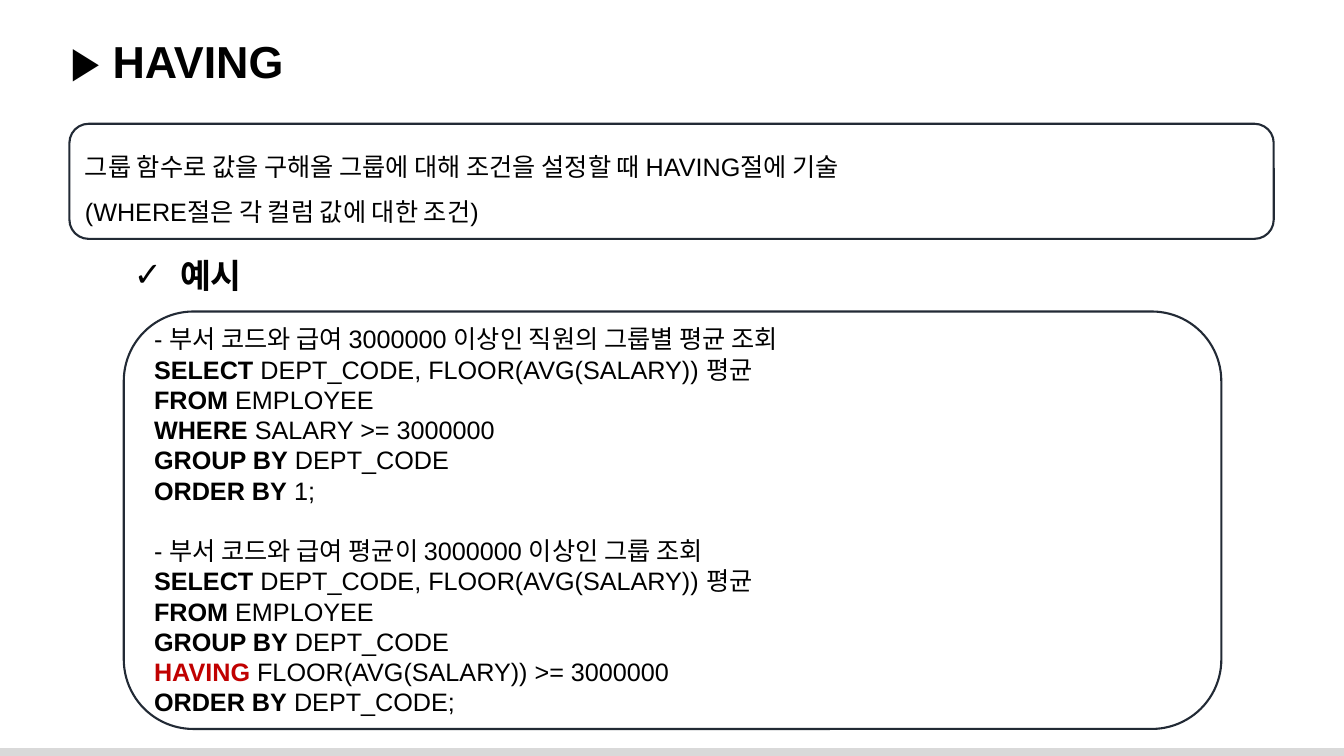
from lxml import etree
from pptx import Presentation
from pptx.dml.color import RGBColor
from pptx.enum import shapes, text
from pptx.oxml import ns
from pptx.util import Cm, Pt

BLACK = RGBColor(0x00, 0x00, 0x00)
NAVY = RGBColor(0x22, 0x2A, 0x35)
RED = RGBColor(0xC0, 0x00, 0x00)
GREY = RGBColor(0xD9, 0xD9, 0xD9)
FONT = "Arial"

HEADING = [("▶ HAVING", "")]
SUMMARY = [
    ("", "그룹 함수로 값을 구해올 그룹에 대해 조건을 설정할 때 HAVING절에 기술"),
    ("", "(WHERE절은 각 컬럼 값에 대한 조건)"),
]
EXAMPLE = [(" 예시", "")]
QUERIES = [
    [
        ("", "- 부서 코드와 급여 3000000 이상인 직원의 그룹별 평균 조회"),
        ("SELECT", " DEPT_CODE, FLOOR(AVG(SALARY)) 평균"),
        ("FROM", " EMPLOYEE"),
        ("WHERE", " SALARY >= 3000000"),
        ("GROUP BY", " DEPT_CODE"),
        ("ORDER BY", " 1;"),
    ],
    [
        ("", "- 부서 코드와 급여 평균이 3000000 이상인 그룹 조회"),
        ("SELECT", " DEPT_CODE, FLOOR(AVG(SALARY)) 평균"),
        ("FROM", " EMPLOYEE"),
        ("GROUP BY", " DEPT_CODE"),
        ("HAVING", " FLOOR(AVG(SALARY)) >= 3000000"),
        ("ORDER BY", " DEPT_CODE;"),
    ],
]
HIGHLIGHTS = {"HAVING": RED}

WIDTH, HEIGHT = 33.87, 19.05
BAND_HEIGHT = 0.2
HEADING_AT = (1.52, 0.71, 32, 1.63)
SUMMARY_AT = (1.75, 3.12, 30.35, 2.9)
EXAMPLE_AT = (3.12, 6.3, 3.48, 1.27)
QUERIES_AT = (3.12, 7.85, 27.66, 10.52)


def write(frame, lines, size=18, spacing=1, gap=0, anchor=text.MSO_ANCHOR.MIDDLE, wrap=True):
    frame.word_wrap = wrap
    frame.auto_size = text.MSO_AUTO_SIZE.NONE
    frame.vertical_anchor = anchor
    start = len(frame.paragraphs) if frame.text else 0
    for number, (keyword, rest) in enumerate(lines):
        line = frame.add_paragraph() if start + number else frame.paragraphs[0]
        line.alignment = text.PP_ALIGN.LEFT
        line.line_spacing = spacing
        line.space_before = Pt(gap if number == 0 else 0)
        for words, bold in ((keyword, True), (rest, False)):
            if words:
                run = line.add_run()
                run.text = words
                run.font.name = FONT
                run.font.size = Pt(size)
                run.font.bold = bold
                run.font.color.rgb = HIGHLIGHTS.get(words, BLACK) if bold else BLACK


def place(holder, at):
    holder.left, holder.top, holder.width, holder.height = map(Cm, at)
    return holder.text_frame


def add_panel(slide, at):
    panel = slide.shapes.add_shape(shapes.MSO_SHAPE.ROUNDED_RECTANGLE, *map(Cm, at))
    panel.shadow.inherit = False
    panel.fill.background()
    panel.line.color.rgb = NAVY
    panel.line.width = Pt(1.5)
    return panel.text_frame


def set_check_bullet(line):
    properties = line._p.get_or_add_pPr()
    properties.set("marL", str(Cm(0.97)))
    properties.set("indent", str(Cm(-0.97)))
    etree.SubElement(properties, ns.qn("a:buFont")).set("typeface", FONT)
    etree.SubElement(properties, ns.qn("a:buChar")).set("char", "✓")


def main():
    deck = Presentation()
    deck.slide_width, deck.slide_height = Cm(WIDTH), Cm(HEIGHT)
    slide = deck.slides.add_slide(deck.slide_layouts[1])
    heading, example = slide.placeholders

    band = slide.shapes.add_shape(
        shapes.MSO_SHAPE.RECTANGLE, 0, Cm(HEIGHT - BAND_HEIGHT), Cm(WIDTH), Cm(BAND_HEIGHT))
    band.shadow.inherit = False
    band.fill.solid()
    band.fill.fore_color.rgb = GREY
    band.line.fill.background()

    top = text.MSO_ANCHOR.TOP
    write(place(heading, HEADING_AT), HEADING, size=32, anchor=top)
    write(add_panel(slide, SUMMARY_AT), SUMMARY, spacing=1.5)

    example_frame = place(example, EXAMPLE_AT)
    write(example_frame, EXAMPLE, size=24, anchor=top, wrap=False)
    set_check_bullet(example_frame.paragraphs[0])

    queries_frame = add_panel(slide, QUERIES_AT)
    for number, query in enumerate(QUERIES):
        write(queries_frame, query, gap=21.6 * number)

    deck.save("out.pptx")


if __name__ == "__main__":
    main()
